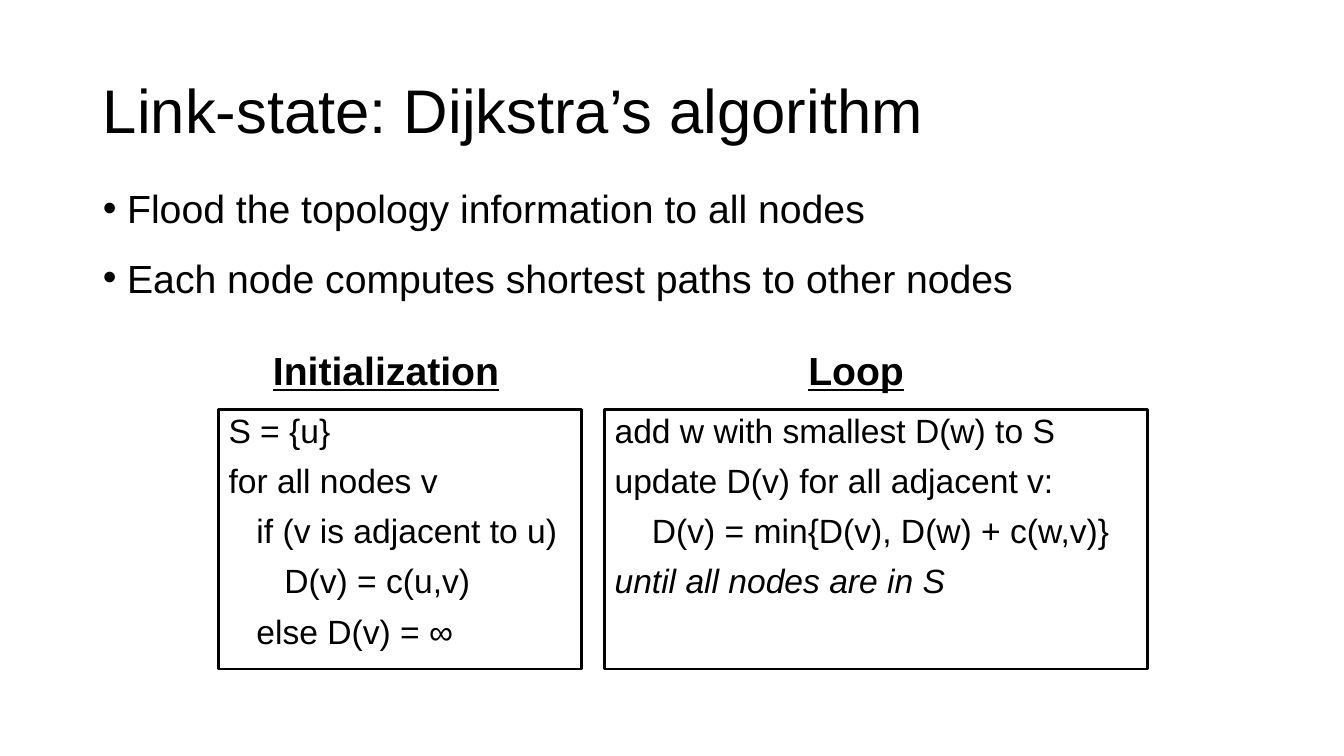
from dataclasses import dataclass

import pptx
import pptx.dml.color
import pptx.enum.shapes
import pptx.enum.text
import pptx.oxml
import pptx.oxml.ns
import pptx.util

Cm = pptx.util.Cm
Pt = pptx.util.Pt
BLACK = "000000"
FONT = "Arial"


@dataclass
class Step:
    text: str
    spaces: int = 0
    italic: bool = False


@dataclass
class Panel:
    heading: str
    heading_left: float
    heading_width: float
    left: float
    width: float
    steps: list[Step]


PANELS = [
    Panel("Initialization", 6.63, 6.27, 5.51, 9.14, [
        Step("S = {u}"),
        Step("for all nodes v"),
        Step("if (v is adjacent to u)", 3),
        Step("D(v) = c(u,v)", 6),
        Step("else D(v) = ∞", 3),
    ]),
    Panel("Loop", 20.12, 2.95, 15.24, 13.67, [
        Step("add w with smallest D(w) to S"),
        Step("update D(v) for all adjacent v:"),
        Step("D(v) = min{D(v), D(w) + c(w,v)}", 4),
        Step("until all nodes are in S", italic=True),
    ]),
]
BULLETS = [
    "Flood the topology information to all nodes",
    "Each node computes shortest paths to other nodes",
]
SPACE_WIDTH = 0.235


def rgb(color: str) -> pptx.dml.color.RGBColor:
    return pptx.dml.color.RGBColor.from_string(color)


def place(sp, left: float, top: float, width: float, height: float) -> None:
    sp.left, sp.top, sp.width, sp.height = map(Cm, (left, top, width, height))


def set_text(p, text: str, size: int, bold: bool = False,
             italic: bool = False, underline: bool = False) -> None:
    p.text = text
    p.alignment = pptx.enum.text.PP_ALIGN.LEFT
    for r in p.runs:
        r.font.name = FONT
        r.font.size = Pt(size)
        r.font.bold = bold
        r.font.italic = italic
        r.font.underline = underline
        r.font.color.rgb = rgb(BLACK)


def paragraph(tf, index: int, gap: float):
    p = tf.add_paragraph() if index else tf.paragraphs[0]
    p.space_before = Pt(gap if index else 0)
    return p


def set_indent(p, left: float, first: float) -> None:
    pPr = p._p.get_or_add_pPr()
    pPr.set("marL", str(Cm(left)))
    pPr.set("indent", str(Cm(first)))


def add_bullet(p) -> None:
    ns = pptx.oxml.ns.nsdecls("a")
    pPr = p._p.get_or_add_pPr()
    pPr.append(pptx.oxml.parse_xml(f'<a:buFont {ns} typeface="{FONT}"/>'))
    pPr.append(pptx.oxml.parse_xml(f'<a:buChar {ns} char="•"/>'))


def draw_title(sp, text: str) -> None:
    place(sp, 2.34, 1.02, 31.17, 3.68)
    tf = sp.text_frame
    tf.auto_size = pptx.enum.text.MSO_AUTO_SIZE.NONE
    tf.vertical_anchor = pptx.enum.text.MSO_ANCHOR.MIDDLE
    set_text(tf.paragraphs[0], text, 44)
    tf.paragraphs[0].line_spacing = 0.9


def draw_bullets(sp, items: list[str]) -> None:
    place(sp, 2.34, 4.52, 23.7, 4.24)
    tf = sp.text_frame
    tf.auto_size = pptx.enum.text.MSO_AUTO_SIZE.NONE
    for i, item in enumerate(items):
        p = paragraph(tf, i, 16)
        set_indent(p, 0.61, -0.61)
        add_bullet(p)
        set_text(p, item, 28)


def draw_panel(slide, panel: Panel) -> None:
    sp = slide.shapes.add_shape(
        pptx.enum.shapes.MSO_SHAPE.RECTANGLE,
        Cm(panel.left), Cm(10.31), Cm(panel.width), Cm(6.55))
    sp.shadow.inherit = False
    sp.fill.background()
    sp.line.color.rgb = rgb(BLACK)
    sp.line.width = Pt(2)
    tf = sp.text_frame
    tf.word_wrap = True
    tf.vertical_anchor = pptx.enum.text.MSO_ANCHOR.TOP
    for i, step in enumerate(panel.steps):
        p = paragraph(tf, i, 10)
        p.line_spacing = 0.9
        set_indent(p, step.spaces * SPACE_WIDTH, 0)
        set_text(p, step.text, 24, italic=step.italic)

    heading = slide.shapes.add_textbox(
        Cm(panel.heading_left), Cm(8.61), Cm(panel.heading_width), Cm(1.45))
    heading.text_frame.word_wrap = False
    set_text(heading.text_frame.paragraphs[0], panel.heading, 28,
             bold=True, underline=True)


def main() -> None:
    prs = pptx.Presentation()
    prs.slide_width = Cm(33.87)
    prs.slide_height = Cm(19.05)
    slide = prs.slides.add_slide(prs.slide_layouts[1])
    draw_title(slide.shapes.title, "Link-state: Dijkstra’s algorithm")
    draw_bullets(slide.placeholders[1], BULLETS)
    for panel in PANELS:
        draw_panel(slide, panel)
    prs.save("out.pptx")


if __name__ == "__main__":
    main()
